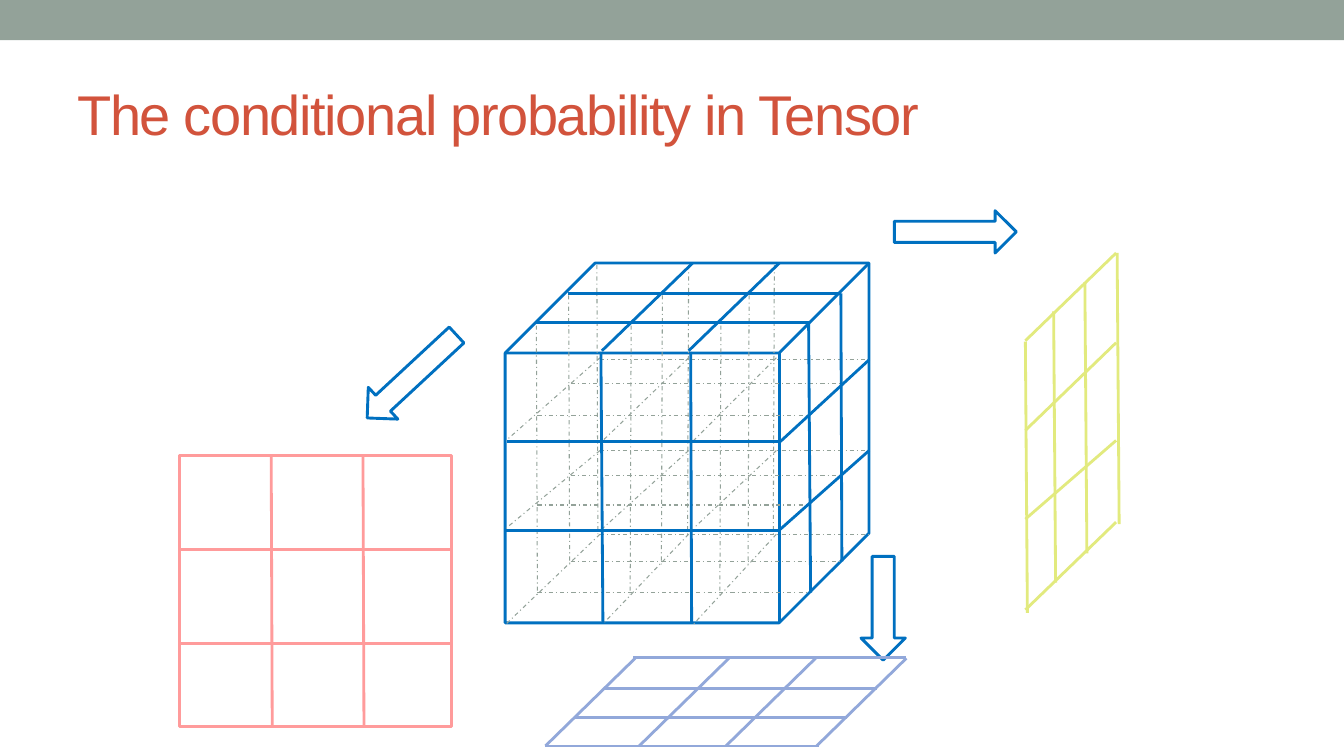
import pptx
import pptx.util
import pptx.dml.color
import pptx.enum.dml
import pptx.enum.shapes
import pptx.enum.text
import pptx.oxml.ns
import lxml.etree

RGBColor = pptx.dml.color.RGBColor
SHAPE = pptx.enum.shapes.MSO_SHAPE
SAGE = RGBColor(0x93, 0xA2, 0x99)
RUST = RGBColor(0xD2, 0x53, 0x3C)
BLUE = RGBColor(0x00, 0x70, 0xC0)
PINK = RGBColor(0xFF, 0x9B, 0x9B)
LIME = RGBColor(0xE2, 0xEA, 0x7E)
LILAC = RGBColor(0x92, 0xA8, 0xDA)
SCALE = 9144


def px(n):
    """Turn px into EMU."""
    return pptx.util.Emu(n * SCALE)


def apply(obj, fmt):
    """Set attributes from a dict of format values."""
    for name, value in fmt.items():
        setattr(obj, name, value)


def add_lines(s, box, segments, color, width=2, dash=None):
    """Draw straight lines given relative to the corner of the box."""
    x, y = box[:2]
    for x1, y1, x2, y2 in segments:
        c = s.shapes.add_connector(pptx.enum.shapes.MSO_CONNECTOR.STRAIGHT,
                                   px(x + x1), px(y + y1), px(x + x2), px(y + y2))
        c.line.color.rgb = color
        apply(c.line, {"width": pptx.util.Pt(width), "dash_style": dash})
        sp_pr = c._element.find(pptx.oxml.ns.qn("p:spPr"))
        lxml.etree.SubElement(sp_pr, pptx.oxml.ns.qn("a:effectLst"))


def add_outline(s, kind, box, color, width=2.08, rotation=0):
    """Draw an unfilled preset shape in the box."""
    sp = s.shapes.add_shape(kind, *map(px, box))
    sp.shadow.inherit = False
    sp.fill.background()
    sp.line.color.rgb = color
    sp.line.width = pptx.util.Pt(width)
    sp.rotation = rotation


def add_header(s, box):
    """Draw the top band and the title below it."""
    x, y, w, h = box
    sp = s.shapes.add_shape(SHAPE.RECTANGLE, px(x), px(y), px(w), px(40))
    sp.shadow.inherit = False
    sp.fill.solid()
    sp.fill.fore_color.rgb = SAGE
    sp.line.fill.background()
    tf = s.shapes.add_textbox(px(x + 67), px(y + 58), px(1200), px(h - 58)).text_frame
    apply(tf, {"word_wrap": True, "vertical_anchor": pptx.enum.text.MSO_ANCHOR.MIDDLE})
    r = tf.paragraphs[0].add_run()
    r.text = "The conditional probability in Tensor"
    apply(r.font, {"name": "Arial", "size": pptx.util.Pt(40)})
    r.font.color.rgb = RUST
    r._r.get_or_add_rPr().set("spc", "-100")


def add_cube(s, box):
    """Draw the tensor cube with its face grids and hidden edges."""
    hidden = [(x, top, x + lean, top + 267)
              for top, xs in ((2, (91, 182, 267)), (32, (63, 156, 242)), (62, (31, 125, 214)))
              for x, lean in zip(xs, (1, -1, -1))]
    hidden += [(left, y, left + 267, y)
               for left, ys in ((94, (96, 186, 269)), (65, (119, 211, 296)),
                                (32, (151, 240, 327)))
               for y in ys]
    hidden += [(x1, y1, x2, y2)
               for y1, y2 in ((94, 176), (186, 263), (269, 358))
               for x1, x2 in ((94, 1), (182, 97), (269, 187))]
    top = [(186, 0, 96, 87), (272, 0, 182, 87), (62, 30, 333, 30), (31, 59, 302, 59)]
    front = [(95, 88, 97, 358), (184, 88, 185, 357), (2, 177, 273, 177), (1, 265, 273, 265)]
    side = [(361, 96, 273, 177), (361, 186, 273, 264), (301, 58, 303, 327), (333, 30, 334, 296)]
    add_outline(s, SHAPE.CUBE, box, BLUE, 2)
    add_lines(s, box, hidden, SAGE, 0.75, pptx.enum.dml.MSO_LINE.DASH_DOT)
    add_lines(s, box, top + front + side, BLUE)


def add_front_slice(s, box):
    """Draw the square three by three slice."""
    w, h = box[2:]
    add_outline(s, SHAPE.RECTANGLE, box, PINK)
    rows = [(-1, y, w, y) for y in (93, 186)]
    columns = [(x, 0, x + 1, h) for x in (91, 182)]
    add_lines(s, box, rows + columns, PINK)


def add_side_slice(s, box):
    """Draw the upright slanted slice."""
    columns = [(x, y, x + 2, y + 269) for x, y in ((1, 88), (29, 58), (60, 29), (92, 0))]
    rows = [(91, y1, 1, y2) for y1, y2 in ((0, 87), (89, 176), (186, 264), (267, 354))]
    add_lines(s, box, columns + rows, LIME)


def add_bottom_slice(s, box):
    """Draw the flat slanted slice."""
    h = box[3]
    rows = [(x, y, x + 271, y) for x, y in ((87, 0), (58, 31), (28, 60), (0, h))]
    columns = [(x, 1, x - 89, h) for x in (89, 182, 268, 358)]
    add_lines(s, box, rows + columns, LILAC)


def main():
    """Build the slide and save it."""
    prs = pptx.Presentation()
    apply(prs, {"slide_width": px(1333), "slide_height": px(750)})
    s = prs.slides.add_slide(prs.slide_layouts[6])
    add_header(s, (0, 0, 1333, 166))
    add_cube(s, (501, 261, 361, 357))
    add_front_slice(s, (178, 452, 270, 269))
    add_side_slice(s, (1016, 251, 93, 357))
    add_outline(s, SHAPE.DOWN_ARROW, (387, 313, 43, 121), BLUE, rotation=47.1)
    add_outline(s, SHAPE.RIGHT_ARROW, (887, 209, 121, 42), BLUE)
    add_outline(s, SHAPE.DOWN_ARROW, (854, 552, 44, 103), BLUE)
    add_bottom_slice(s, (541, 652, 358, 88))
    prs.save("out.pptx")


if __name__ == "__main__":
    main()
